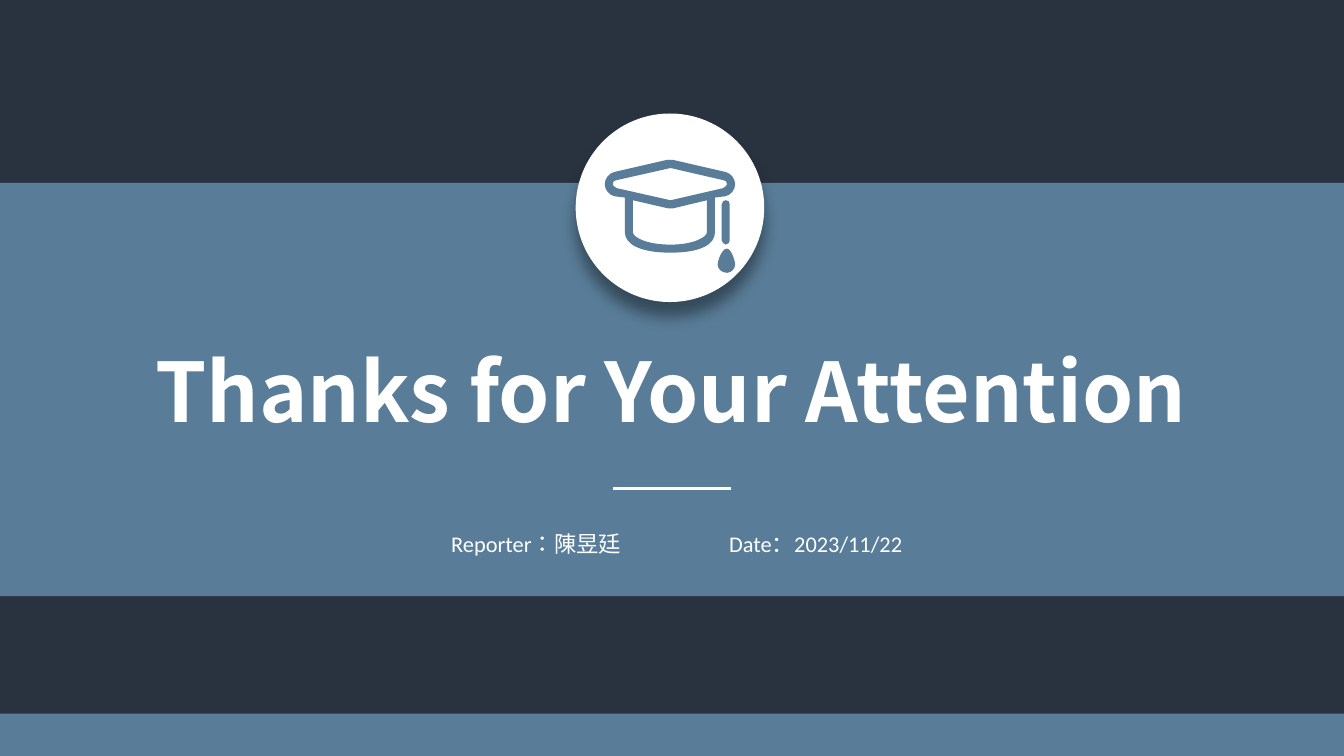
from dataclasses import dataclass

from lxml.etree import SubElement
from pptx import Presentation
from pptx.dml.color import RGBColor
from pptx.enum.lang import MSO_LANGUAGE_ID as Language
from pptx.enum.shapes import MSO_CONNECTOR as Connector, MSO_SHAPE as Shape
from pptx.enum.text import MSO_ANCHOR as Anchor, MSO_AUTO_SIZE as AutoSize, PP_ALIGN as Align
from pptx.oxml.ns import qn
from pptx.util import Pt


@dataclass(frozen=True)
class Theme:
    navy: RGBColor = RGBColor(0x29, 0x32, 0x3F)
    blue: RGBColor = RGBColor(0x59, 0x7D, 0x98)
    white: RGBColor = RGBColor(0xFF, 0xFF, 0xFF)
    title_font: str = "Noto Sans CJK SC"
    body_font: str = "Calibri"
    title_size: int = 44
    body_size: int = 12


THEME = Theme()
WIDTH, HEIGHT = 720, 405
CAP_UNIT = 0.72

BOARD_AND_RIM = [
    (547, 137), (547, 133, 544, 129, 540, 128), (501, 119),
    (500, 119, 497, 119, 496, 119), (457, 128),
    (453, 129, 450, 133, 450, 137), (450, 141, 453, 145, 457, 146),
    (465, 147), (465, 173), (465, 181, 475, 188, 499, 188),
    (523, 188, 532, 181, 532, 173), (532, 147), (540, 146),
    (544, 145, 547, 141, 547, 137),
]
BOARD_HOLE = [
    (499, 149), (459, 140), (457, 139, 456, 138, 456, 137),
    (456, 135, 457, 134, 459, 134), (499, 125), (538, 134),
    (540, 134, 541, 135, 541, 137), (541, 138, 540, 139, 538, 140),
]
RIM_HOLE = [
    (526, 173), (526, 176, 517, 182, 499, 182),
    (480, 182, 471, 176, 471, 173), (471, 149), (497, 155),
    (498, 155, 500, 155, 501, 155), (526, 149),
]
CORD = [
    (537, 152), (537, 179), (537, 180, 539, 182, 540, 182),
    (542, 182, 543, 180, 543, 179), (543, 152),
    (543, 150, 542, 149, 540, 149), (539, 149, 537, 150, 537, 152),
]
TASSEL = [
    (541, 185), (537, 185, 534, 194, 534, 197),
    (534, 200, 537, 203, 541, 203), (544, 203, 547, 200, 547, 197),
    (547, 194, 544, 185, 541, 185),
]


def paint(shape, color):
    shape.fill.solid()
    shape.fill.fore_color.rgb = color
    shape.line.fill.background()
    shape.shadow.inherit = False


def add_preset(page, kind, left, top, width, height, color):
    shape = page.shapes.add_shape(kind, Pt(left), Pt(top), Pt(width), Pt(height))
    paint(shape, color)
    return shape


def add_drop_shadow(shape, blur, distance, opacity):
    effects = shape._element.spPr.find(qn("a:effectLst"))
    shadow = SubElement(effects, qn("a:outerShdw"), blurRad=str(Pt(blur)),
                        dist=str(Pt(distance)), dir="5400000", algn="t", rotWithShape="0")
    color = SubElement(shadow, qn("a:srgbClr"), val="000000")
    SubElement(color, qn("a:alpha"), val=str(opacity * 1000))


def bend_segments(shape, contours):
    anchors = [step[-2:] for contour in contours for step in contour]
    left, top = (min(values) for values in zip(*anchors))
    steps = [step for contour in contours for step in contour[1:]]
    segments = list(shape._element.iter(qn("a:lnTo")))
    for segment, step in zip(segments, steps):
        if len(step) == 2:
            continue
        segment.tag = qn("a:cubicBezTo")
        segment.remove(segment[0])
        for x, y in zip(step[::2], step[1::2]):
            SubElement(segment, qn("a:pt"), x=str(x - left), y=str(y - top))


def add_outline(page, contours, color):
    first, *others = [[step[-2:] for step in contour] for contour in contours]
    builder = page.shapes.build_freeform(*first[0], scale=Pt(CAP_UNIT))
    builder.add_line_segments(first[1:], close=True)
    for anchors in others:
        builder.move_to(*anchors[0])
        builder.add_line_segments(anchors[1:], close=True)
    shape = builder.convert_to_shape()
    bend_segments(shape, contours)
    paint(shape, color)


def add_rule(page, left, right, top):
    rule = page.shapes.add_connector(Connector.STRAIGHT, Pt(left), Pt(top), Pt(right), Pt(top))
    rule.line.color.rgb = THEME.white
    rule.line.width = Pt(1.5)
    SubElement(rule._element.spPr, qn("a:effectLst"))


def write(box, text, font_name, size, bold=False):
    paragraph = box.text_frame.paragraphs[0]
    paragraph.text = text
    paragraph.alignment = Align.CENTER
    font = paragraph.font
    font.name, font.size, font.bold = font_name, Pt(size), bold
    font.color.rgb = THEME.white
    return paragraph.runs[0]


def add_title(page, text):
    title = page.shapes.title
    title.left, title.top, title.width, title.height = Pt(62.6), Pt(178.6), Pt(594), Pt(60.5)
    frame = title.text_frame
    frame.word_wrap = False
    frame.auto_size = AutoSize.NONE
    frame.vertical_anchor = Anchor.MIDDLE
    write(title, text, THEME.title_font, THEME.title_size, bold=True)
    page.shapes._spTree.append(title._element)


def add_detail(page, text, left, language):
    box = page.shapes.add_textbox(Pt(left), Pt(280.4), Pt(129.6), Pt(21.6))
    box.text_frame.word_wrap = True
    span = write(box, text, THEME.body_font, THEME.body_size)
    span.font.language_id = language


def main():
    deck = Presentation()
    deck.slide_width, deck.slide_height = Pt(WIDTH), Pt(HEIGHT)
    page = deck.slides.add_slide(deck.slide_layouts[5])
    page.background.fill.solid()
    page.background.fill.fore_color.rgb = THEME.navy

    for top, height in ((382.3, 22.7), (98, 221.4)):
        add_preset(page, Shape.RECTANGLE, 0, top, WIDTH, height, THEME.blue)
    add_title(page, "Thanks for Your Attention")

    badge = add_preset(page, Shape.OVAL, 308.4, 60.8, 101, 101, THEME.white)
    add_drop_shadow(badge, blur=8, distance=8, opacity=40)
    for contours in ([BOARD_AND_RIM, BOARD_HOLE, RIM_HOLE], [CORD], [TASSEL]):
        add_outline(page, contours, THEME.blue)

    add_rule(page, 328.4, 391.6, 261.5)
    add_detail(page, "Reporter：陳昱廷", 222.5, Language.TRADITIONAL_CHINESE)
    add_detail(page, "Date：2023/11/22", 372.2, Language.ENGLISH_US)
    deck.save("out.pptx")


if __name__ == "__main__":
    main()
